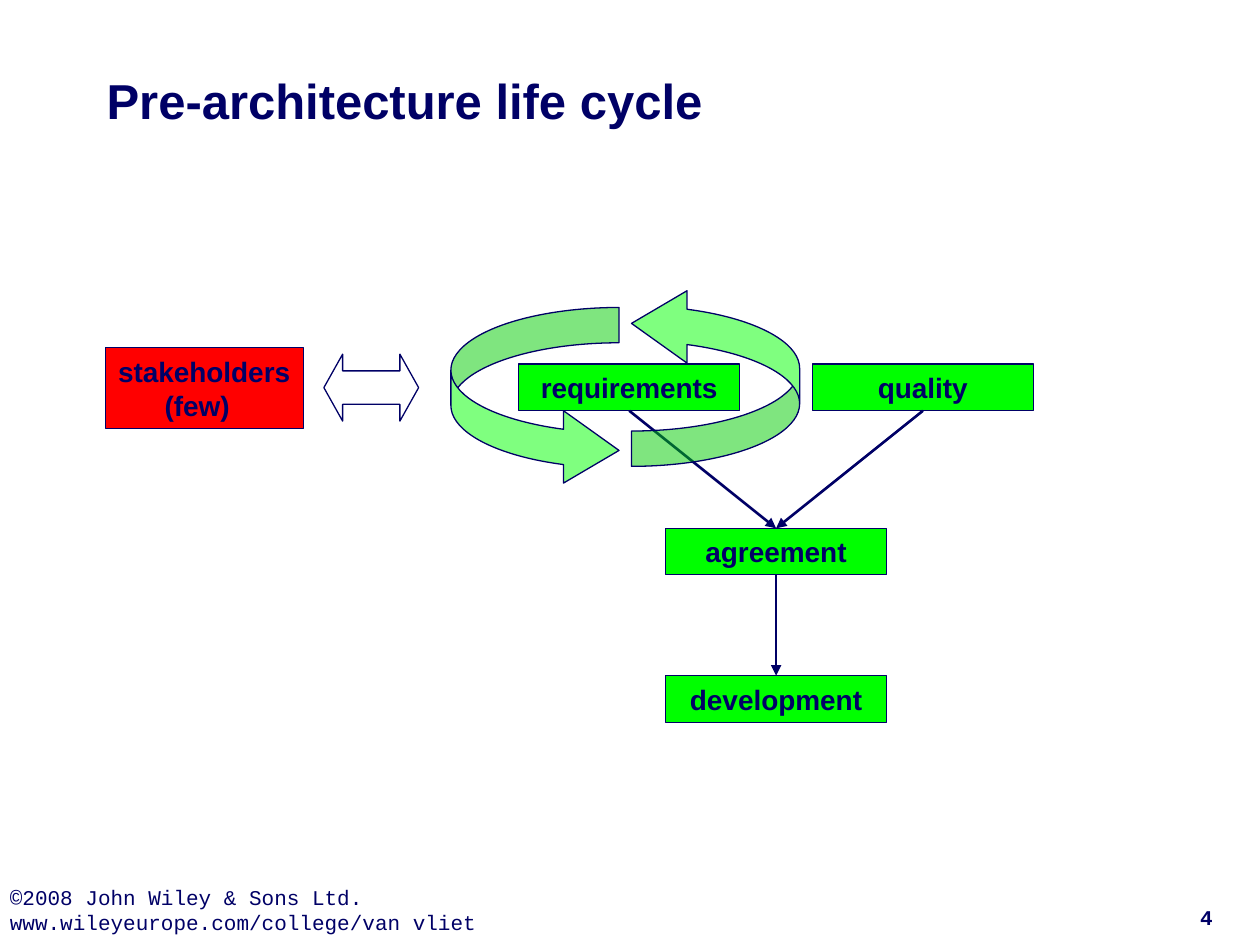
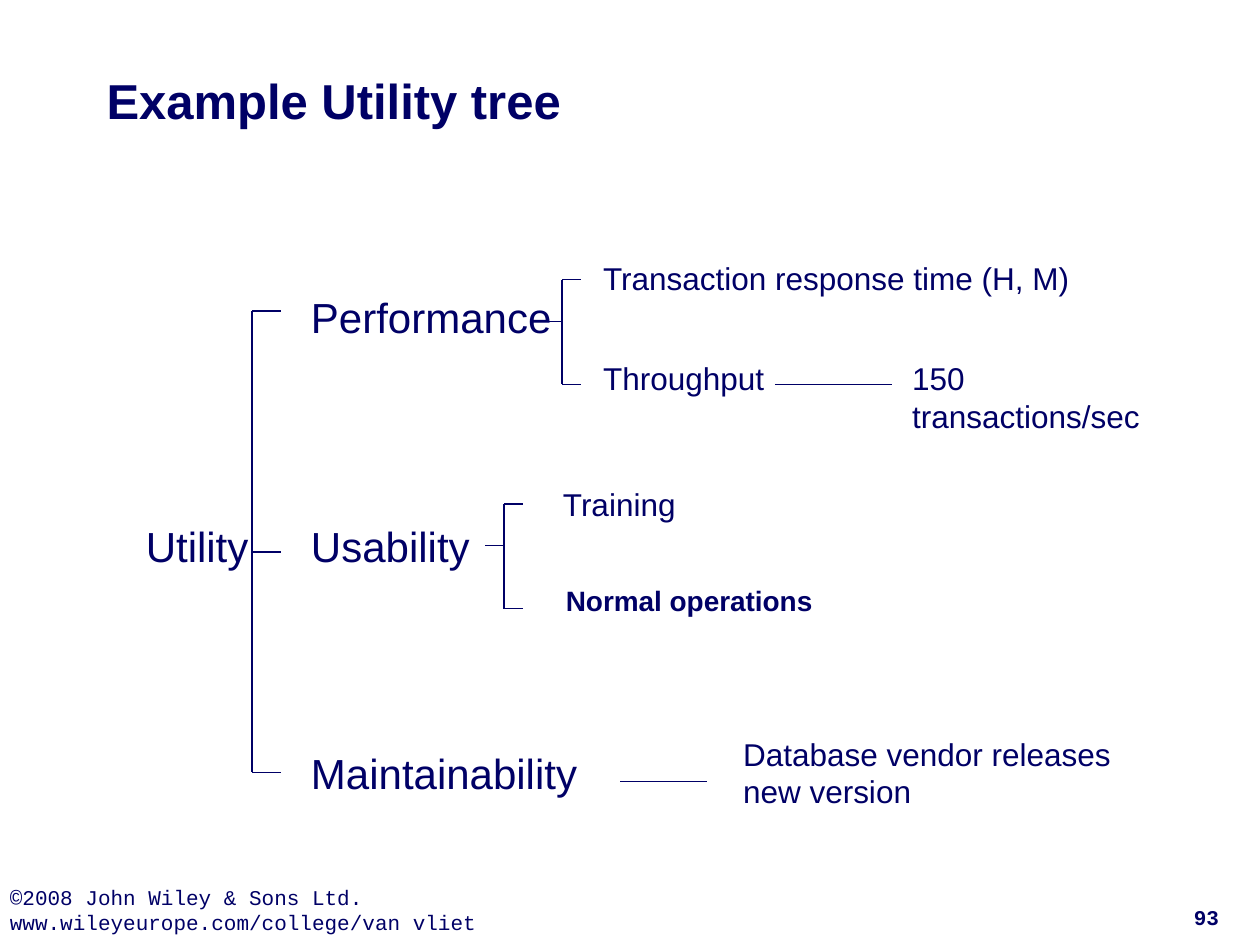
from dataclasses import dataclass

from pptx import Presentation
from pptx.dml.color import RGBColor
from pptx.enum.shapes import MSO_CONNECTOR, MSO_SHAPE
from pptx.enum.text import MSO_ANCHOR, PP_ALIGN
from pptx.oxml.ns import qn
from pptx.util import Cm, Pt
from lxml.etree import SubElement


@dataclass(frozen=True)
class Theme:
    ink: RGBColor = RGBColor(0x00, 0x00, 0x66)
    step: RGBColor = RGBColor(0x00, 0xFF, 0x00)
    people: RGBColor = RGBColor(0xFF, 0x00, 0x00)
    font: str = "Arial"
    footer_font: str = "Courier New"
    title_size: int = 28
    branch_size: int = 24
    leaf_size: int = 18
    box_size: int = 16
    footer_size: int = 12
    thin: float = 0.75
    thick: float = 1.5


THEME = Theme()
TOP, BOTTOM = 0, 2  # connection sites of a rectangle


@dataclass(frozen=True)
class Box:
    """A region of the page, in centimetres."""
    left: float
    top: float
    width: float
    height: float

    def inner(self, left, top, width, height):
        return Box(self.left + left, self.top + top, width, height)

    def lengths(self):
        return [Cm(side) for side in (self.left, self.top, self.width, self.height)]


# Building blocks
def write(shape, text, size, bold=False, font=THEME.font, align=PP_ALIGN.LEFT,
          anchor=MSO_ANCHOR.TOP, wrap=True, inset=(0.25, 0.13)):
    frame = shape.text_frame
    frame.text = text
    frame.word_wrap = wrap
    frame.vertical_anchor = anchor
    frame.margin_left = frame.margin_right = Cm(inset[0])
    frame.margin_top = frame.margin_bottom = Cm(inset[1])
    for para in frame.paragraphs:
        para.alignment = align
        for span in para.runs:
            span.font.name = font
            span.font.size = Pt(size)
            span.font.bold = bold
            span.font.color.rgb = THEME.ink
    return frame


def add_text(page, box, text, size, **style):
    return write(page.shapes.add_textbox(*box.lengths()), text, size, **style)


def add_outlined(page, kind, box, fill=None, adjustments=()):
    shape = page.shapes.add_shape(kind, *box.lengths())
    shape.shadow.inherit = False
    shape.line.color.rgb = THEME.ink
    shape.line.width = Pt(THEME.thin)
    if fill is None:
        shape.fill.background()
    else:
        shape.fill.solid()
        shape.fill.fore_color.rgb = fill
    for index, value in enumerate(adjustments):
        shape.adjustments[index] = value
    return shape


def add_line(page, start=(0, 0), end=(0, 0), width=THEME.thin):
    points = [Cm(value) for value in (*start, *end)]
    line = page.shapes.add_connector(MSO_CONNECTOR.STRAIGHT, *points)
    line.line.color.rgb = THEME.ink
    line.line.width = Pt(width)
    SubElement(line.element.spPr, qn("a:effectLst"))
    return line


def add_arrow(page, source, target):
    arrow = add_line(page, width=THEME.thick)
    arrow.begin_connect(source, BOTTOM)
    arrow.end_connect(target, TOP)
    SubElement(arrow.line._get_or_add_ln(), qn("a:tailEnd"), type="triangle")


# Title and footer shared by all slides
def add_page(deck, title, number):
    page = deck.slides.add_slide(deck.slide_layouts[6])
    add_text(page, Box(0, 17.63, 15.6, 1.42),
             "©2008 John Wiley & Sons Ltd.\nwww.wileyeurope.com/college/van vliet",
             THEME.footer_size, font=THEME.footer_font, inset=(0.2, 0.2))
    add_text(page, Box(23.32, 18.14, 2, 0.61), str(number), THEME.footer_size,
             bold=True, font=THEME.footer_font, align=PP_ALIGN.CENTER,
             anchor=MSO_ANCHOR.BOTTOM, inset=(0, 0))
    add_text(page, Box(1.9, 0.43, 21.59, 3.18), title, THEME.title_size,
             bold=True, anchor=MSO_ANCHOR.MIDDLE)
    return page


# Life cycle diagram
def add_steps(page, area):
    gap, width, height = 5.92, 4.45, 0.94
    middle = gap / 2
    places = {
        "requirements": (0, 0),
        "agreement": (middle, 3.31),
        "quality": (gap, 0),
        "development": (middle, 6.28),
    }
    steps = {}
    for name, (left, top) in places.items():
        steps[name] = add_outlined(page, MSO_SHAPE.RECTANGLE,
                                   area.inner(left, top, width, height), THEME.step)
        write(steps[name], name, THEME.box_size, bold=True,
              align=PP_ALIGN.CENTER, anchor=MSO_ANCHOR.MIDDLE)
    for source, target in (("requirements", "agreement"), ("quality", "agreement"),
                           ("agreement", "development")):
        add_arrow(page, steps[source], steps[target])


def add_cycle(page, area):
    width, height = 3.39, 3.61
    for left, top, turn in ((0, 0.41, 0), (3.64, 0, 180)):
        arrow = add_outlined(page, MSO_SHAPE.CURVED_RIGHT_ARROW,
                             area.inner(left, top, width, height),
                             THEME.step, (0.21, 0.43, 0.33))
        arrow.rotation = turn
        color = arrow.element.spPr.find(qn("a:solidFill")).find(qn("a:srgbClr"))
        SubElement(color, qn("a:alpha"), val="50000")


def add_stakeholders(page, area):
    people = add_outlined(page, MSO_SHAPE.RECTANGLE,
                          area.inner(0, 0, 3.99, 1.63), THEME.people)
    frame = write(people, "stakeholders\n(few)", THEME.box_size, bold=True,
                  anchor=MSO_ANCHOR.MIDDLE, wrap=False)
    indent = frame.paragraphs[1]._p.get_or_add_pPr()
    indent.set("marL", str(Cm(0.94)))
    indent.set("indent", "0")
    add_outlined(page, MSO_SHAPE.LEFT_RIGHT_ARROW,
                 area.inner(4.4, 0.13, 1.91, 1.35), adjustments=(0.5, 0.28))


def build_life_cycle(deck, area):
    page = add_page(deck, "Pre-architecture life cycle", 4)
    add_steps(page, area.inner(8.33, 1.55, 10.37, 7.22))
    add_cycle(page, area.inner(6.96, 0, 7.03, 4.02))
    add_stakeholders(page, area.inner(0, 1.22, 6.31, 1.63))


# Utility tree
def add_bracket(page, area, spine, tines, length, stem=None):
    def join(start, end):
        add_line(page, (area.left + start[0], area.top + start[1]),
                 (area.left + end[0], area.top + end[1]))

    join((spine, tines[0]), (spine, tines[-1]))
    for level in tines:
        join((spine, level), (spine + length, level))
    if stem is not None:
        join((spine - length, stem), (spine, stem))


def build_utility_tree(deck, area):
    page = add_page(deck, "Example Utility tree", 93)

    # Root and quality attributes
    branch_left, branch_height = 3.33, 1.27
    for text, left, top, width in (
            ("Utility", 0, 5.26, 2.57),
            ("Performance", branch_left, 0.64, 5.36),
            ("Usability", branch_left, 5.26, 3.71),
            ("Maintainability", branch_left, 9.84, 5.87)):
        add_text(page, area.inner(left, top, width, branch_height), text,
                 THEME.branch_size, wrap=False)

    # Refinements and scenarios
    leaf_left, leaf_height = 9.22, 1.02
    for text, left, top, width, height in (
            ("Transaction response time (H, M)", leaf_left, 0, 9.93, leaf_height),
            ("Throughput", leaf_left, 2.01, 3.76, leaf_height),
            ("Training", 8.41, 4.55, 2.79, leaf_height),
            ("150 transactions/sec", 15.45, 2.01, 6.32, leaf_height),
            ("Database vendor releases\nnew version", 12.04, 9.58, 7.92, 1.78)):
        add_text(page, area.inner(left, top, width, height), text,
                 THEME.leaf_size, wrap=False)
    add_text(page, area.inner(8.46, 6.53, 5.49, 0.94), "Normal operations",
             THEME.box_size, bold=True, align=PP_ALIGN.CENTER, wrap=False)

    # Branches
    add_bracket(page, area, 2.39, (1.17, 6.03, 10.47), 0.58)
    add_bracket(page, area, 8.64, (0.54, 2.65), 0.38, stem=1.38)
    add_bracket(page, area, 7.47, (5.06, 7.17), 0.38, stem=5.9)
    for start, end, level in ((12.93, 15.29, 2.65), (9.81, 11.56, 10.65)):
        add_line(page, (area.left + start, area.top + level),
                 (area.left + end, area.top + level))


def main():
    deck = Presentation()
    deck.slide_width, deck.slide_height = Cm(25.4), Cm(19.05)
    build_life_cycle(deck, Box(2.13, 5.79, 18.7, 8.77))
    build_utility_tree(deck, Box(2.69, 5.1, 21.77, 11.36))
    deck.save("out.pptx")


if __name__ == "__main__":
    main()
